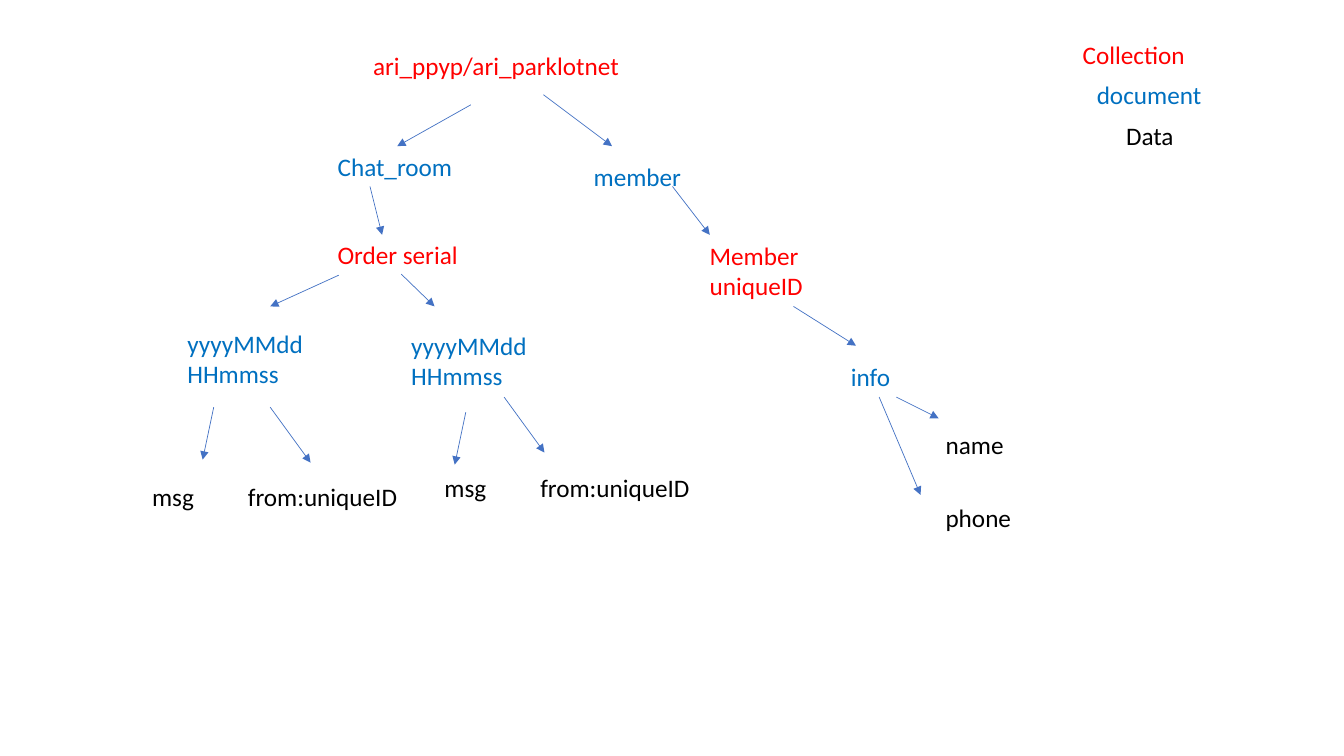
from pptx import Presentation
from pptx.dml.color import RGBColor
from pptx.enum.shapes import MSO_CONNECTOR
from pptx.enum.text import MSO_ANCHOR, MSO_AUTO_SIZE, PP_ALIGN
from pptx.oxml.ns import qn
from pptx.util import Inches, Pt
from lxml.etree import SubElement

COLLECTION = RGBColor(0xFF, 0x00, 0x00)
DOCUMENT = RGBColor(0x00, 0x70, 0xC0)
DATA = RGBColor(0x00, 0x00, 0x00)
ARROW = RGBColor(0x44, 0x72, 0xC4)


class TreeSlide:
    font = "Calibri"
    size = Pt(18)
    line_width = Pt(0.5)

    def __init__(self, prs):
        self.s = prs.slides.add_slide(prs.slide_layouts[5])

    def set_text(self, sp, text, color):
        tf = sp.text_frame
        tf.word_wrap = True
        tf.auto_size = MSO_AUTO_SIZE.SHAPE_TO_FIT_TEXT
        tf.vertical_anchor = MSO_ANCHOR.TOP
        p = tf.paragraphs[0]
        p.alignment = PP_ALIGN.LEFT
        r = p.add_run()
        r.text = text
        r.font.name = self.font
        r.font.size = self.size
        r.font.color.rgb = color

    def title(self, text, color, x, y, w, h=0.4):
        sp = self.s.shapes.title
        sp.left, sp.top, sp.width, sp.height = map(Inches, (x, y, w, h))
        self.set_text(sp, text, color)

    def label(self, text, color, x, y, w, h=0.4):
        sp = self.s.shapes.add_textbox(*map(Inches, (x, y, w, h)))
        self.set_text(sp, text, color)

    def arrow(self, x1, y1, x2, y2):
        ends = map(Inches, (x1, y1, x2, y2))
        sp = self.s.shapes.add_connector(MSO_CONNECTOR.STRAIGHT, *ends)
        sp.line.color.rgb = ARROW
        sp.line.width = self.line_width
        props = sp._element.spPr
        SubElement(props.get_or_add_ln(), qn("a:tailEnd"), type="triangle")
        SubElement(props, qn("a:effectLst"))

    def message(self, stamp, msg, msg_arrow, sender_arrow):
        self.label("yyyyMMddHHmmss", DOCUMENT, *stamp, 1.49, 0.71)
        x, y = msg
        self.label("msg", DATA, x, y, 0.69)
        self.label("from:uniqueID", DATA, x + 0.95, y, 1.69)
        for (x, y), dx, dy in ((msg_arrow, -0.11, 0.52), (sender_arrow, 0.4, 0.55)):
            self.arrow(x, y, x + dx, y + dy)


def main():
    prs = Presentation()
    prs.slide_width, prs.slide_height = Inches(13.33), Inches(7.5)
    tree = TreeSlide(prs)

    tree.title("ari_ppyp/ari_parklotnet", COLLECTION, 3.6, 0.45, 3.34)

    legend = (
        ("Collection", COLLECTION, 10.64, 1.4),
        ("document", DOCUMENT, 10.78, 1.4),
        ("Data", DATA, 11.07, 1.24),
    )
    for i, (text, color, x, w) in enumerate(legend):
        tree.label(text, color, x, 0.34 + 0.4 * i, w)

    nodes = (
        ("Chat_room", DOCUMENT, 3.25, 1.45, 1.42),
        ("Order serial", COLLECTION, 3.25, 2.33, 1.74),
        ("member", DOCUMENT, 5.79, 1.55, 2.93),
        ("Member uniqueID", COLLECTION, 6.94, 2.33, 1.55, 0.71),
        ("info", DOCUMENT, 8.34, 3.54, 1.09),
        ("name", DATA, 9.28, 4.21, 1.22),
        ("phone", DATA, 9.28, 4.93, 1.36),
    )
    for node in nodes:
        tree.label(*node)

    arrows = (
        (4.67, 1.04, 3.94, 1.45),
        (5.39, 0.94, 6.07, 1.45),
        (3.67, 1.85, 3.79, 2.33),
        (3.36, 2.73, 2.68, 3.04),
        (3.98, 2.72, 4.31, 3.04),
        (6.67, 1.85, 7.04, 2.33),
        (7.87, 3.04, 8.49, 3.43),
        (8.89, 3.94, 9.31, 4.15),
        (8.72, 3.94, 9.13, 4.91),
    )
    for ends in arrows:
        tree.arrow(*ends)

    tree.message((1.76, 3.21), (1.41, 4.73), (2.12, 4.04), (2.68, 4.04))
    tree.message((3.98, 3.23), (4.31, 4.64), (4.62, 4.09), (5, 3.94))

    prs.save("out.pptx")


if __name__ == "__main__":
    main()
